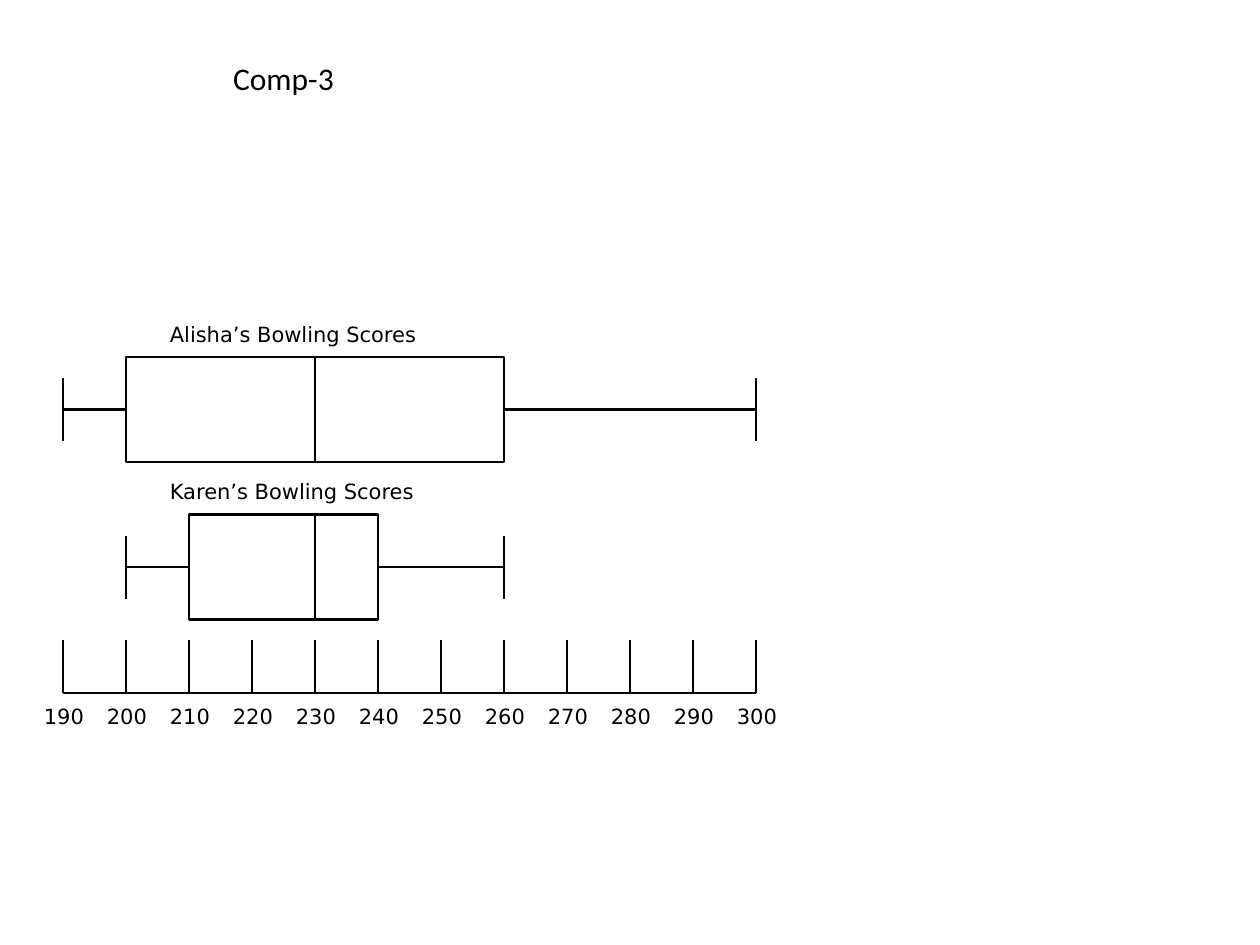
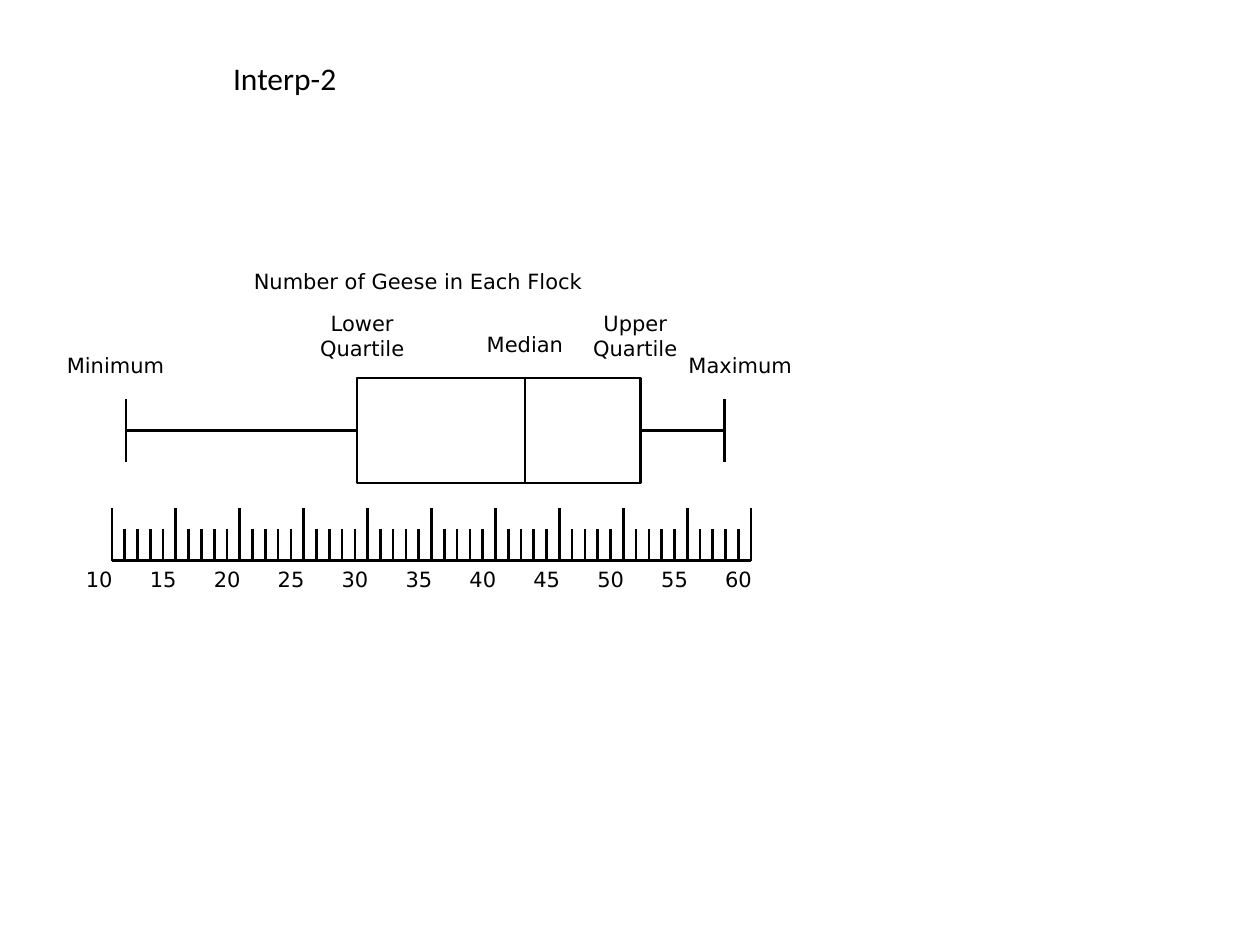
from lxml import etree
from pptx import Presentation
from pptx.dml.color import RGBColor
from pptx.enum.shapes import MSO_CONNECTOR, MSO_SHAPE
from pptx.enum.text import MSO_ANCHOR as Anchor, MSO_AUTO_SIZE as AutoSize, PP_ALIGN as Align
from pptx.oxml.ns import qn
from pptx.util import Inches, Pt

COLOURS = {"ink": "000000", "paper": "FFFFFF"}
INK, PAPER = (RGBColor.from_string(COLOURS[name]) for name in ("ink", "paper"))
LINE_WIDTH = Pt(1.5)

# Shared grid: 120 columns by 90 rows, twelve cells to the inch
CELL = Inches(1) / 12
BOX_ROWS, CAP_INSET, TEXT_ROWS = 10, 2, 3.6
MAJOR_ROWS, MINOR_ROWS = 5, 3

# Plots: top row, then columns of minimum, lower quartile, median, upper quartile, maximum
# Captions: text, column, row, columns wide, rows high, alignment
SLIDES = [
    {
        "title": "Comp-3",
        "plots": [(34, (6, 12, 30, 48, 72)), (49, (12, 18, 30, 36, 48))],
        "captions": [
            ("Alisha’s Bowling Scores", 15, 30, 31, TEXT_ROWS, Align.LEFT),
            ("Karen’s Bowling Scores", 15, 45, 31, TEXT_ROWS, Align.LEFT),
        ],
        "scale": {"left": 6, "right": 72, "base": 66, "first": 190, "last": 300,
                  "unit": 10, "ticks_per_label": 1,
                  "label_shift": -3, "label_row": 66.4, "label_width": 7},
    },
    {
        "title": "Interp-2",
        "plots": [(36, (12, 34, 50, 61, 69))],
        "captions": [
            ("Number of Geese in Each Flock", 23, 25, 35, TEXT_ROWS, Align.LEFT),
            ("Minimum", 4, 33, 14, TEXT_ROWS, Align.CENTER),
            ("Median", 44, 31, 12, TEXT_ROWS, Align.CENTER),
            ("Maximum", 64, 33, 13, TEXT_ROWS, Align.CENTER),
            ("Lower Quartile", 29, 29, 11, 6, Align.CENTER),
            ("Upper Quartile", 55, 29, 11, 6, Align.CENTER),
        ],
        "scale": {"left": 10.66, "right": 71.54, "base": 53.4, "first": 10, "last": 60,
                  "unit": 1, "ticks_per_label": 5,
                  "label_shift": -3.66, "label_row": 53.4, "label_width": 6.1},
    },
]


def add_line(page, *ends):
    """Draw a line between two grid points: column, row, column, row."""
    line = page.shapes.add_connector(MSO_CONNECTOR.STRAIGHT, *(round(end * CELL) for end in ends))
    line.line.color.rgb = INK
    line.line.width = LINE_WIDTH
    etree.SubElement(line._element.spPr, qn("a:effectLst"))


def set_text(box, text, place, align, font_name, size):
    """Place a text shape on the grid and fill it with one paragraph."""
    box.left, box.top, box.width, box.height = (round(length * CELL) for length in place)
    frame = box.text_frame
    frame.word_wrap = True
    frame.auto_size = AutoSize.SHAPE_TO_FIT_TEXT
    frame.vertical_anchor = Anchor.TOP
    para = frame.paragraphs[0]
    para.text = text
    para.alignment = align
    para.font.name = font_name
    para.font.size = Pt(size)
    para.font.color.rgb = INK


deck = Presentation()
deck.slide_width, deck.slide_height = Inches(10), Inches(7.5)
title_only = deck.slide_layouts[5]

for content in SLIDES:
    page = deck.slides.add_slide(title_only)
    set_text(page.shapes.title, content["title"], (21, 5, 18, 4.8), Align.LEFT, "Calibri", 18)

    # Box plots: end caps and whisker, then the box over them, then the median
    for top, (minimum, lower, median, upper, maximum) in content["plots"]:
        bottom = top + BOX_ROWS
        middle = top + BOX_ROWS / 2
        for end in (minimum, maximum):
            add_line(page, end, top + CAP_INSET, end, bottom - CAP_INSET)
        add_line(page, minimum, middle, maximum, middle)
        place = (lower, top, upper - lower, BOX_ROWS)
        box = page.shapes.add_shape(MSO_SHAPE.RECTANGLE, *(round(length * CELL) for length in place))
        box.shadow.inherit = False
        box.fill.solid()
        box.fill.fore_color.rgb = PAPER
        box.line.color.rgb = INK
        box.line.width = LINE_WIDTH
        add_line(page, median, top, median, bottom)

    # Captions
    for text, *place, align in content["captions"]:
        set_text(page.shapes.add_textbox(0, 0, 0, 0), text, place, align, "DejaVu Sans", 12)

    # Number line with its ticks and labels
    scale = content["scale"]
    base = scale["base"]
    add_line(page, scale["left"], base, scale["right"], base)
    tick_count = (scale["last"] - scale["first"]) // scale["unit"]
    tick_gap = (scale["right"] - scale["left"]) / tick_count
    for tick in range(tick_count + 1):
        column = scale["left"] + tick * tick_gap
        is_major = tick % scale["ticks_per_label"] == 0
        add_line(page, column, base, column, base - (MAJOR_ROWS if is_major else MINOR_ROWS))
        if is_major:
            value = scale["first"] + tick * scale["unit"]
            place = (column + scale["label_shift"], scale["label_row"], scale["label_width"], TEXT_ROWS)
            set_text(page.shapes.add_textbox(0, 0, 0, 0), str(value), place,
                     Align.LEFT, "DejaVu Sans", 12)

deck.save("out.pptx")
